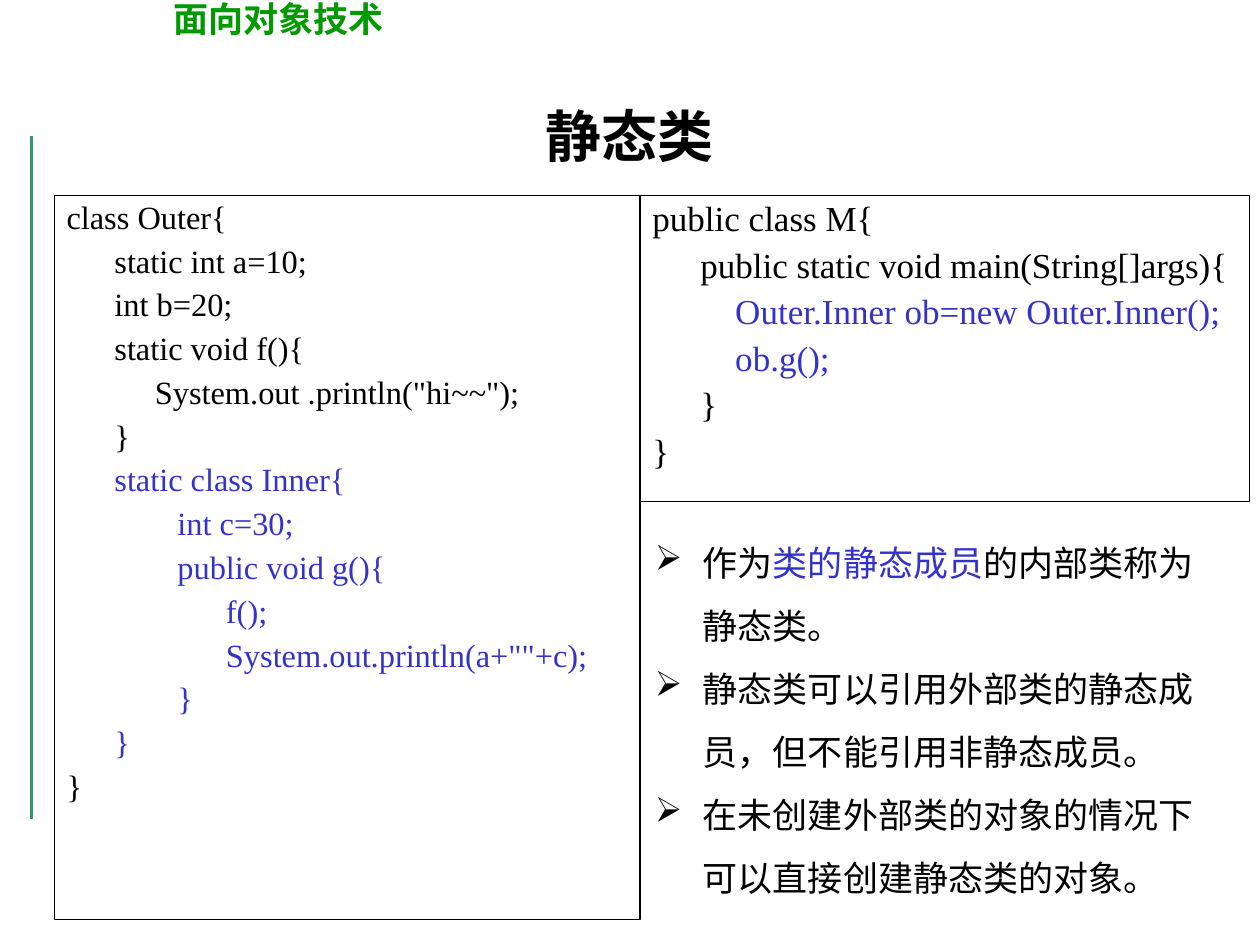
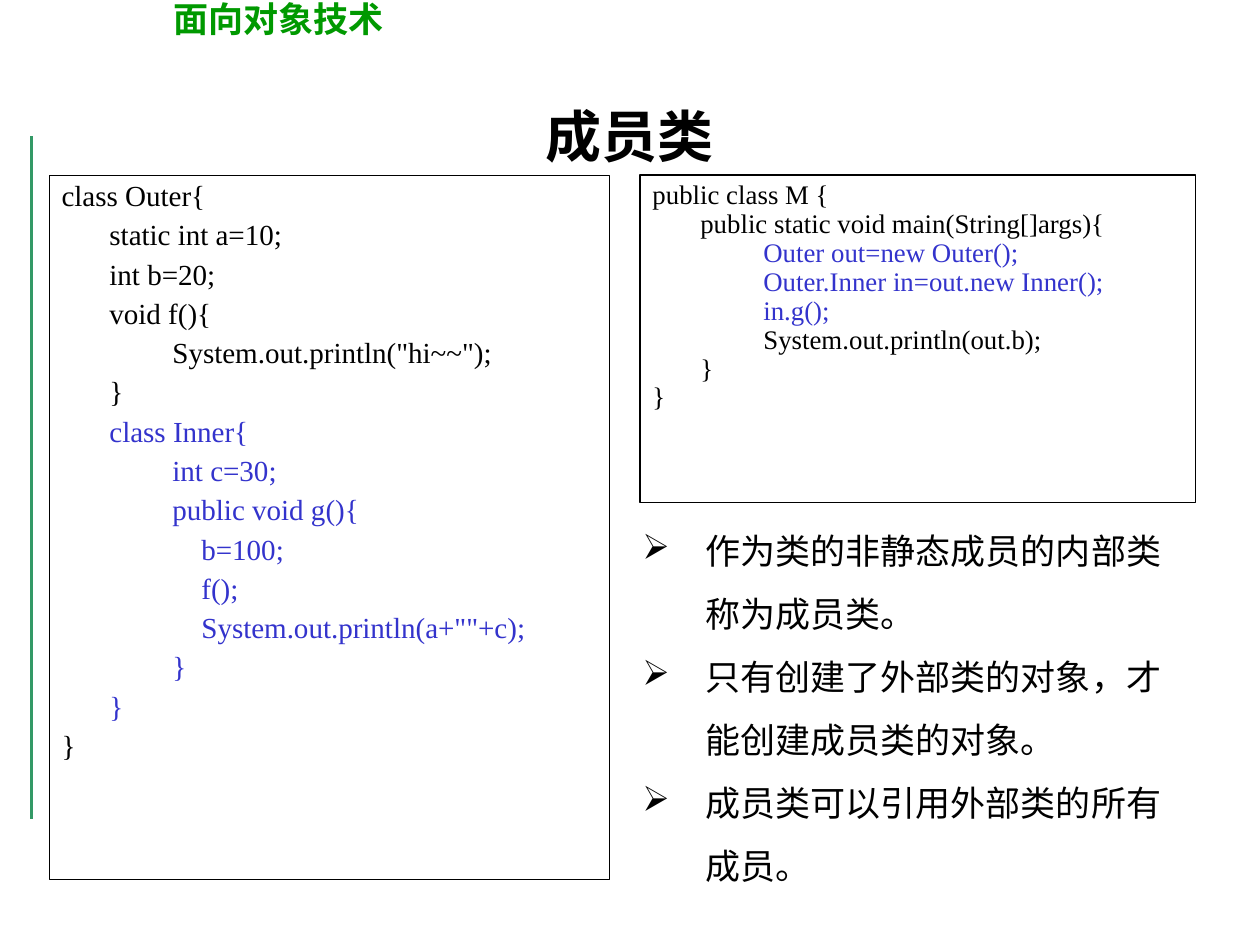
from dataclasses import dataclass
from typing import Any

from lxml.etree import SubElement
from pptx import Presentation
from pptx.dml.color import RGBColor
from pptx.enum.shapes import MSO_CONNECTOR, MSO_SHAPE
from pptx.enum.text import MSO_ANCHOR, MSO_AUTO_SIZE, PP_ALIGN
from pptx.oxml.ns import qn
from pptx.util import Inches, Pt

BLACK = RGBColor(0x00, 0x00, 0x00)
BLUE = RGBColor(0x33, 0x33, 0xCC)
HEADER_GREEN = RGBColor(0x00, 0x99, 0x00)
LINE_GREEN = RGBColor(0x33, 0x99, 0x66)
LATIN_FONT = "Times New Roman"
CHINESE_FONT = "Noto Sans CJK SC"
CODE_INDENT = 0.38
TITLE_ONLY = 5

Box = tuple[float, float, float, float]  # left, top, width, height in inches


@dataclass(frozen=True)
class CodePanel:
    box: Box
    size: float
    space_before: float
    blue_lines: range
    code: str


@dataclass(frozen=True)
class BulletList:
    box: Box
    indent: float
    items: list[list[tuple[str, RGBColor]]]


@dataclass(frozen=True)
class ClassSlide:
    title: str
    panels: list[CodePanel]
    bullets: BulletList


def set_attributes(target: Any, values: dict[str, Any]) -> None:
    for name, value in values.items():
        setattr(target, name, value)


def add_run(paragraph: Any, text: str, size: float, color: RGBColor,
            bold: bool = False, latin: str = LATIN_FONT) -> None:
    run = paragraph.add_run()
    run.text = text
    set_attributes(run.font, {"name": latin, "size": Pt(size), "bold": bold})
    run.font.color.rgb = color
    properties = run._r.get_or_add_rPr()
    SubElement(properties, qn("a:ea"), typeface=CHINESE_FONT)


def next_paragraph(frame: Any, index: int) -> Any:
    return frame.add_paragraph() if index else frame.paragraphs[0]


def hang_indent(paragraph: Any, indent: float) -> Any:
    properties = paragraph._p.get_or_add_pPr()
    properties.set("marL", str(Inches(indent)))
    properties.set("indent", str(-Inches(indent)))
    return properties


def add_text_box(slide: Any, box: Box) -> Any:
    frame = slide.shapes.add_textbox(*map(Inches, box)).text_frame
    set_attributes(frame, {"word_wrap": True, "auto_size": MSO_AUTO_SIZE.SHAPE_TO_FIT_TEXT})
    return frame


def add_frame(slide: Any) -> None:
    # Green side line
    line = slide.shapes.add_connector(
        MSO_CONNECTOR.STRAIGHT, Inches(0.25), Inches(1.08), Inches(0.25), Inches(6.5))
    line.line.color.rgb = LINE_GREEN
    line.line.width = Pt(2.25)
    SubElement(line._element.spPr, qn("a:effectLst"))

    # Course name
    paragraph = add_text_box(slide, (0.83, -0.07, 5.75, 0.44)).paragraphs[0]
    paragraph._p.get_or_add_pPr().set("marL", str(Inches(0.45)))
    add_run(paragraph, "面向对象技术", 20, HEADER_GREEN, bold=True, latin=CHINESE_FONT)


def add_title(slide: Any, text: str) -> None:
    title = slide.shapes.title
    left, top, width, height = map(Inches, (0.75, 0.67, 8.5, 0.8))
    set_attributes(title, {"left": left, "top": top, "width": width, "height": height})
    title.text_frame.vertical_anchor = MSO_ANCHOR.MIDDLE
    paragraph = title.text_frame.paragraphs[0]
    paragraph.alignment = PP_ALIGN.CENTER
    add_run(paragraph, text, 32, BLACK, bold=True)


def add_code_panel(slide: Any, panel: CodePanel) -> None:
    shape = slide.shapes.add_shape(MSO_SHAPE.RECTANGLE, *map(Inches, panel.box))
    shape.shadow.inherit = False
    shape.fill.background()
    shape.line.color.rgb = BLACK
    shape.line.width = Pt(0.75)
    frame = shape.text_frame
    set_attributes(frame, {"word_wrap": True, "vertical_anchor": MSO_ANCHOR.TOP})
    for index, code_line in enumerate(panel.code.splitlines()):
        paragraph = next_paragraph(frame, index)
        tabs = SubElement(hang_indent(paragraph, CODE_INDENT), qn("a:tabLst"))
        for position in range(8):
            SubElement(tabs, qn("a:tab"), pos=str(Inches(position)), algn="l")
        set_attributes(paragraph, {
            "alignment": PP_ALIGN.LEFT,
            "line_spacing": 0.9,
            "space_before": Pt(panel.space_before if index else 0),
        })
        add_run(paragraph, code_line, panel.size,
                BLUE if index in panel.blue_lines else BLACK)


def add_bullets(slide: Any, bullets: BulletList) -> None:
    frame = add_text_box(slide, bullets.box)
    for index, parts in enumerate(bullets.items):
        paragraph = next_paragraph(frame, index)
        properties = hang_indent(paragraph, bullets.indent)
        bullet_color = SubElement(properties, qn("a:buClr"))
        SubElement(bullet_color, qn("a:srgbClr"), val=str(BLACK))
        SubElement(properties, qn("a:buChar"), char="➢")
        paragraph.line_spacing = 1.5
        for text, color in parts:
            add_run(paragraph, text, 20, color)


STATIC_OUTER = """class Outer{
\tstatic int a=10;
\tint b=20;
\tstatic void f(){
\t     System.out .println("hi~~");
\t}
\tstatic class Inner{
\t\tint c=30;
\t\tpublic void g(){
\t\t      f();
\t\t      System.out.println(a+""+c);
\t\t}
\t}
}"""

STATIC_MAIN = """public class M{
\tpublic static void main(String[]args){
\t    Outer.Inner ob=new Outer.Inner();
\t    ob.g();
\t}
}"""

MEMBER_OUTER = """class Outer{
\tstatic int a=10;
\tint b=20;
\tvoid f(){
\t\tSystem.out.println("hi~~");
\t}
\tclass Inner{
\t\tint c=30;
\t\tpublic void g(){
\t\t    b=100;
\t\t    f();
\t\t    System.out.println(a+""+c);
\t\t}
\t}
}"""

MEMBER_MAIN = """public class M {
\tpublic static void main(String[]args){
\t\tOuter out=new Outer();
\t\tOuter.Inner in=out.new Inner();
\t\tin.g();
\t\tSystem.out.println(out.b);
\t}
}"""

SLIDES = [
    ClassSlide(
        "静态类",
        [CodePanel((0.43, 1.55, 4.65, 5.75), 18.5, 5, range(6, 13), STATIC_OUTER),
         CodePanel((5.08, 1.55, 4.84, 2.43), 20, 5, range(2, 4), STATIC_MAIN)],
        BulletList((5.1, 4.08, 4.57, 3.1), 0.38, [
            [("作为", BLACK), ("类的静态成员", BLUE), ("的内部类称为静态类。", BLACK)],
            [("静态类可以引用外部类的静态成员，但不能引用非静态成员。", BLACK)],
            [("在未创建外部类的对象的情况下可以直接创建静态类的对象。", BLACK)],
        ]),
    ),
    ClassSlide(
        "成员类",
        [CodePanel((0.39, 1.39, 4.45, 5.59), 16.6, 4.5, range(6, 14), MEMBER_OUTER),
         CodePanel((5.08, 1.39, 4.41, 2.6), 15.3, 0, range(2, 5), MEMBER_MAIN)],
        BulletList((5, 3.99, 4.49, 3.1), 0.5, [
            [("作为类的非静态成员的内部类称为成员类。", BLACK)],
            [("只有创建了外部类的对象，才能创建成员类的对象。", BLACK)],
            [("成员类可以引用外部类的所有成员。", BLACK)],
        ]),
    ),
]


def main() -> None:
    presentation = Presentation()
    presentation.slide_width = Inches(10)
    presentation.slide_height = Inches(7.5)
    for content in SLIDES:
        slide = presentation.slides.add_slide(presentation.slide_layouts[TITLE_ONLY])
        add_frame(slide)
        add_title(slide, content.title)
        for panel in content.panels:
            add_code_panel(slide, panel)
        add_bullets(slide, content.bullets)
    presentation.save("out.pptx")


if __name__ == "__main__":
    main()
